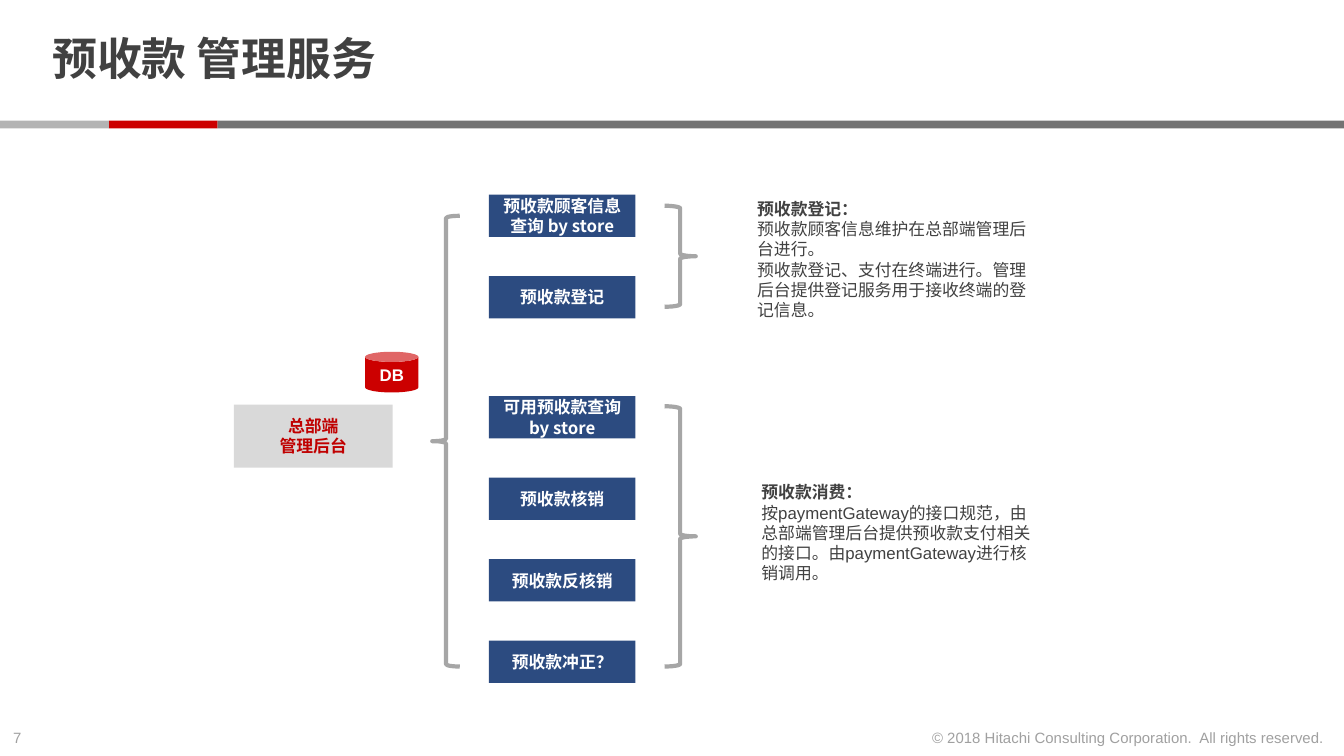
from lxml.etree import SubElement
from pptx import Presentation
from pptx.dml.color import RGBColor
from pptx.enum.shapes import MSO_SHAPE as Shape
from pptx.enum.text import MSO_ANCHOR as Anchor, PP_ALIGN as Align
from pptx.oxml.ns import qn
from pptx.util import Cm, Pt

COLORS = {
    "text": "414141", "footer": "A0A0A0", "dark": "737373", "light": "B3B3B3",
    "red": "CC0000", "deep_red": "C00000", "panel": "D9D9D9",
    "blue": "2C4B80", "brace": "A6A6A6", "white": "FFFFFF",
}
CJK = "Noto Sans CJK SC"


def add_box(kind, left, top, width, height, fill=None, line=None):
    shape = slide.shapes.add_shape(kind, Cm(left), Cm(top), Cm(width), Cm(height))
    shape.shadow.inherit = False
    if fill:
        shape.fill.solid()
        shape.fill.fore_color.rgb = RGBColor.from_string(COLORS[fill])
    else:
        shape.fill.background()
    if line:
        shape.line.color.rgb = RGBColor.from_string(COLORS[line])
        shape.line.width = Pt(2.25)
    else:
        shape.line.fill.background()
    return shape


def write(shape, lines, color, size=9, font="Arial", align=Align.LEFT,
          anchor=Anchor.TOP, bold_lines=0, wrap=True):
    frame = shape.text_frame
    frame.word_wrap = wrap
    frame.vertical_anchor = anchor
    for index, text in enumerate(lines):
        paragraph = frame.add_paragraph() if index else frame.paragraphs[0]
        paragraph.alignment = align
        run = paragraph.add_run()
        run.text = text
        run.font.size = Pt(size)
        run.font.bold = index < bold_lines
        run.font.color.rgb = RGBColor.from_string(COLORS[color])
        run.font.name = font
        SubElement(run.font._element, qn("a:ea"), typeface=CJK)


presentation = Presentation()
presentation.slide_width = Cm(25.4)
presentation.slide_height = Cm(14.29)
slide = presentation.slides.add_slide(presentation.slide_layouts[6])

for left, width, color in [(4.11, 21.29, "dark"), (2.06, 2.05, "red"), (0, 2.06, "light")]:
    add_box(Shape.RECTANGLE, left, 2.28, width, 0.15, color)

page_number = slide.shapes.add_textbox(Cm(0), Cm(13.65), Cm(0.86), Cm(0.6))
write(page_number, ["7"], "footer", size=8, wrap=False)
copyright_line = slide.shapes.add_textbox(Cm(17.26), Cm(13.65), Cm(8.02), Cm(0.6))
write(copyright_line, ["© 2018 Hitachi Consulting Corporation.  All rights reserved."],
      "footer", size=8, align=Align.RIGHT, wrap=False)

title = slide.shapes.add_textbox(Cm(0.74), Cm(0.15), Cm(19.58), Cm(2.03))
title.text_frame.margin_top = title.text_frame.margin_bottom = 0
write(title, ["预收款 管理服务"], "text", size=24, anchor=Anchor.MIDDLE, bold_lines=1)
title.text_frame.paragraphs[0].line_spacing = 0.85

backend = add_box(Shape.RECTANGLE, 4.42, 7.65, 3, 1.19, "panel")
write(backend, ["总部端", "管理后台"], "deep_red", font=CJK, align=Align.CENTER,
      anchor=Anchor.MIDDLE, bold_lines=2)
database = add_box(Shape.CAN, 6.9, 6.65, 1.01, 0.77, "red")
write(database, ["DB"], "white", align=Align.CENTER, anchor=Anchor.MIDDLE, bold_lines=1)

service_groups = [
    (3.68, [["预收款顾客信息查询 by store"], ["预收款登记"]]),
    (7.49, [["可用预收款查询", "by store"], ["预收款核销"], ["预收款反核销"], ["预收款冲正？"]]),
]
for group_top, services in service_groups:
    for row, lines in enumerate(services):
        service = add_box(Shape.RECTANGLE, 9.24, group_top + row * 1.54, 2.77, 0.8, "blue")
        write(service, lines, "white", font=CJK, align=Align.CENTER,
              anchor=Anchor.MIDDLE, bold_lines=2)

for kind, left, top, width, height in [
    (Shape.LEFT_BRACE, 8.17, 4.08, 0.52, 8.52),
    (Shape.RIGHT_BRACE, 12.56, 3.89, 0.59, 1.91),
    (Shape.RIGHT_BRACE, 12.56, 7.68, 0.59, 4.92),
]:
    add_box(kind, left, top, width, height, line="brace")

descriptions = [
    (14.06, 3.63, 2.57, [
        "预收款登记：",
        "预收款顾客信息维护在总部端管理后台进行。",
        "预收款登记、支付在终端进行。管理后台提供登记服务用于接收终端的登记信息。",
    ]),
    (14.14, 8.99, 2.18, [
        "预收款消费：",
        "按paymentGateway的接口规范，由总部端管理后台提供预收款支付相关的接口。由paymentGateway进行核销调用。",
    ]),
]
for left, top, height, lines in descriptions:
    description = slide.shapes.add_textbox(Cm(left), Cm(top), Cm(5.72), Cm(height))
    write(description, lines, "text", bold_lines=1)

presentation.save("out.pptx")
